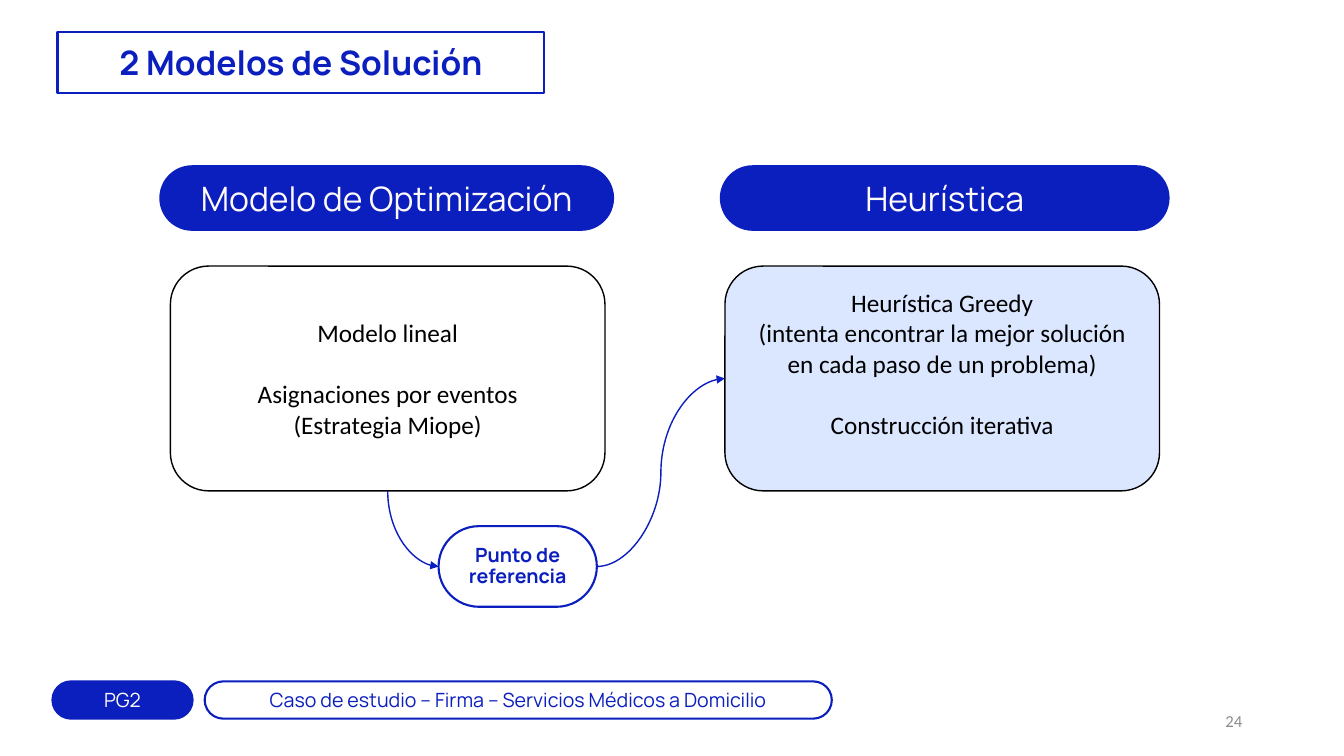
import pptx
import pptx.dml.color
import pptx.enum.shapes
import pptx.enum.text
import pptx.oxml
import pptx.oxml.ns
import pptx.util
from lxml import etree

Inches = pptx.util.Inches
Pt = pptx.util.Pt
RGBColor = pptx.dml.color.RGBColor
Align = pptx.enum.text.PP_ALIGN
qn = pptx.oxml.ns.qn

BLUE = RGBColor(0x0B, 0x1E, 0xBE)
PALE_BLUE = RGBColor(0xDB, 0xE6, 0xFF)
CREAM = RGBColor(0xFF, 0xFB, 0xF9)
WHITE = RGBColor(0xFF, 0xFF, 0xFF)
BLACK = RGBColor(0, 0, 0)
GRAY = RGBColor(0x8C, 0x8C, 0x8C)


def write_text(frame, lines, size=14, color=BLUE, bold=False, font="Manrope",
               align=Align.CENTER, inset=0.1, bottom=None, gap_before=None, spacing=None):
    frame.word_wrap = True
    frame.auto_size = pptx.enum.text.MSO_AUTO_SIZE.NONE
    frame.vertical_anchor = pptx.enum.text.MSO_ANCHOR.MIDDLE
    frame.margin_left = frame.margin_right = frame.margin_top = Inches(inset)
    frame.margin_bottom = Inches(inset if bottom is None else bottom)
    for index, line in enumerate(lines.split("\n")):
        para = frame.add_paragraph() if index else frame.paragraphs[0]
        para.alignment = align
        if spacing:
            para.line_spacing = spacing
        if index == gap_before:
            para.space_before = Pt(22)
        span = para.add_run()
        span.text = line
        span.font.name = font
        span.font.size = Pt(size)
        span.font.bold = bold
        span.font.color.rgb = color


def paint(shape, fill, line, width):
    if fill is None:
        shape.fill.background()
    else:
        shape.fill.solid()
        shape.fill.fore_color.rgb = fill
    shape.line.color.rgb = line
    shape.line.width = Pt(width)


def add_rounded(page, box, text, fill=None, line=BLUE, width=1.5, corner=0.5, **style):
    shape = page.shapes.add_shape(
        pptx.enum.shapes.MSO_SHAPE.ROUNDED_RECTANGLE, *map(Inches, box))
    shape.shadow.inherit = False
    shape.adjustments[0] = corner
    paint(shape, fill, line, width)
    write_text(shape.text_frame, text, **style)


def add_title(page, box, text):
    title = page.shapes.title
    title.left, title.top, title.width, title.height = map(Inches, box)
    geometry = etree.SubElement(title.element.spPr, qn("a:prstGeom"), prst="roundRect")
    guides = etree.SubElement(geometry, qn("a:avLst"))
    etree.SubElement(guides, qn("a:gd"), name="adj", fmla="val 50000")
    paint(title, None, BLUE, 1.5)
    write_text(title.text_frame, text, size=24, bold=True)


def add_model(page, box, heading, heading_box, text, fill, **style):
    add_rounded(page, heading_box, heading, fill=BLUE, size=24, color=CREAM)
    add_rounded(page, box, text, fill=fill, line=BLACK, width=1, corner=0.17,
                size=18, color=BLACK, font="Calibri", **style)


def add_curve(page, start, end):
    connector = page.shapes.add_connector(
        pptx.enum.shapes.MSO_CONNECTOR.CURVE, *map(Inches, (*start, *end)))
    connector.line.color.rgb = BLUE
    connector.line.width = Pt(1)
    etree.SubElement(connector.line._get_or_add_ln(), qn("a:tailEnd"), type="triangle")
    etree.SubElement(connector.element.spPr, qn("a:effectLst"))
    return connector


def add_quarter_curve(page, start, end):
    center_x, center_y = (start[0] + end[0]) / 2, (start[1] + end[1]) / 2
    half_width, half_height = (end[1] - start[1]) / 2, (end[0] - start[0]) / 2
    connector = add_curve(page, (center_x + half_width, center_y - half_height),
                          (center_x - half_width, center_y + half_height))
    properties = connector.element.spPr
    properties.find(qn("a:xfrm")).set("rot", "16200000")
    properties.find(qn("a:prstGeom")).set("prst", "curvedConnector2")


def add_reference(page, box, model_bottom, heuristic_side):
    left, top, width, height = box
    middle = top + height / 2
    add_rounded(page, box, "Punto de referencia", fill=WHITE, bold=True, spacing=0.9)
    add_quarter_curve(page, model_bottom, (left, middle))
    add_curve(page, (left + width, middle), heuristic_side)


def add_footer(page, left, top):
    height = 0.37
    add_rounded(page, (left, top, 1.39, height), "PG2", fill=BLUE, color=CREAM)
    add_rounded(page, (left + 1.51, top, 6.22, height),
                "Caso de estudio – Firma – Servicios Médicos a Domicilio")
    number = page.shapes.add_textbox(*map(Inches, (9.42, top + 0.19, 3, 0.4)))
    write_text(number.text_frame, "24", size=12, color=GRAY, font="Calibri",
               align=Align.RIGHT, inset=0.1, bottom=0.1)


def main():
    deck = pptx.Presentation()
    deck.slide_width, deck.slide_height = Inches(13.33), Inches(7.5)
    page = deck.slides.add_slide(deck.slide_layouts[5])
    add_title(page, (0.57, 0.32, 4.83, 0.6), "2 Modelos de Solución")
    add_footer(page, 0.52, 6.76)
    top, width, height = 2.64, 4.31, 2.23
    model_left, heuristic_left = 1.69, 7.19
    add_model(page, (model_left, top, width, height),
              "Modelo de Optimización", (1.59, 1.65, 4.49, 0.63),
              "Modelo lineal\nAsignaciones por eventos\n(Estrategia Miope)",
              WHITE, gap_before=1)
    add_model(page, (heuristic_left, top, width, height),
              "Heurística", (7.15, 1.65, 4.44, 0.63),
              "Heurística Greedy\n"
              "(intenta encontrar la mejor solución en cada paso de un problema)\n"
              "Construcción iterativa",
              PALE_BLUE, gap_before=2, bottom=0.4)
    add_reference(page, (4.35, 5.22, 1.57, 0.8),
                  (model_left + width / 2, top + height),
                  (heuristic_left, top + height / 2))
    deck.save("out.pptx")


if __name__ == "__main__":
    main()
